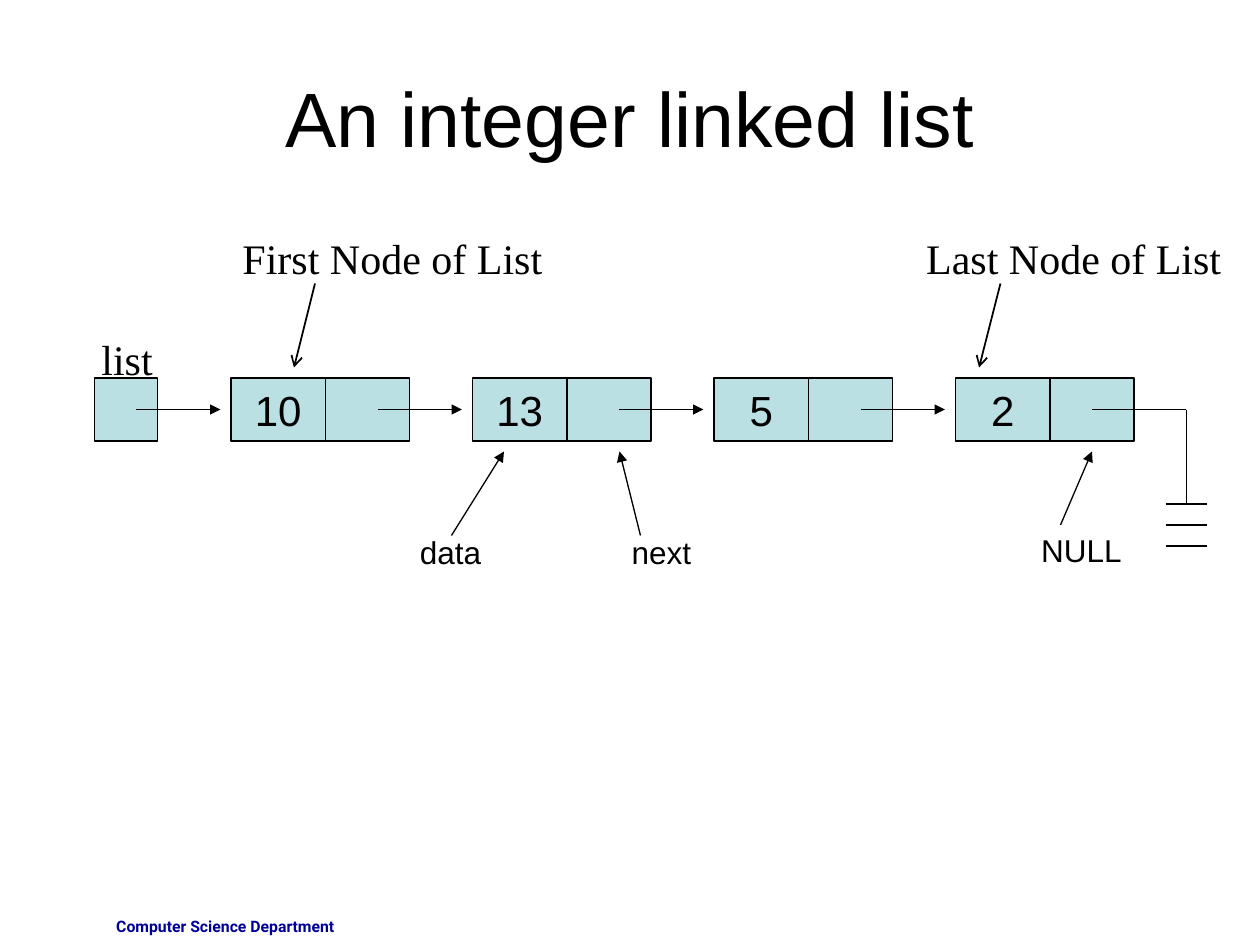
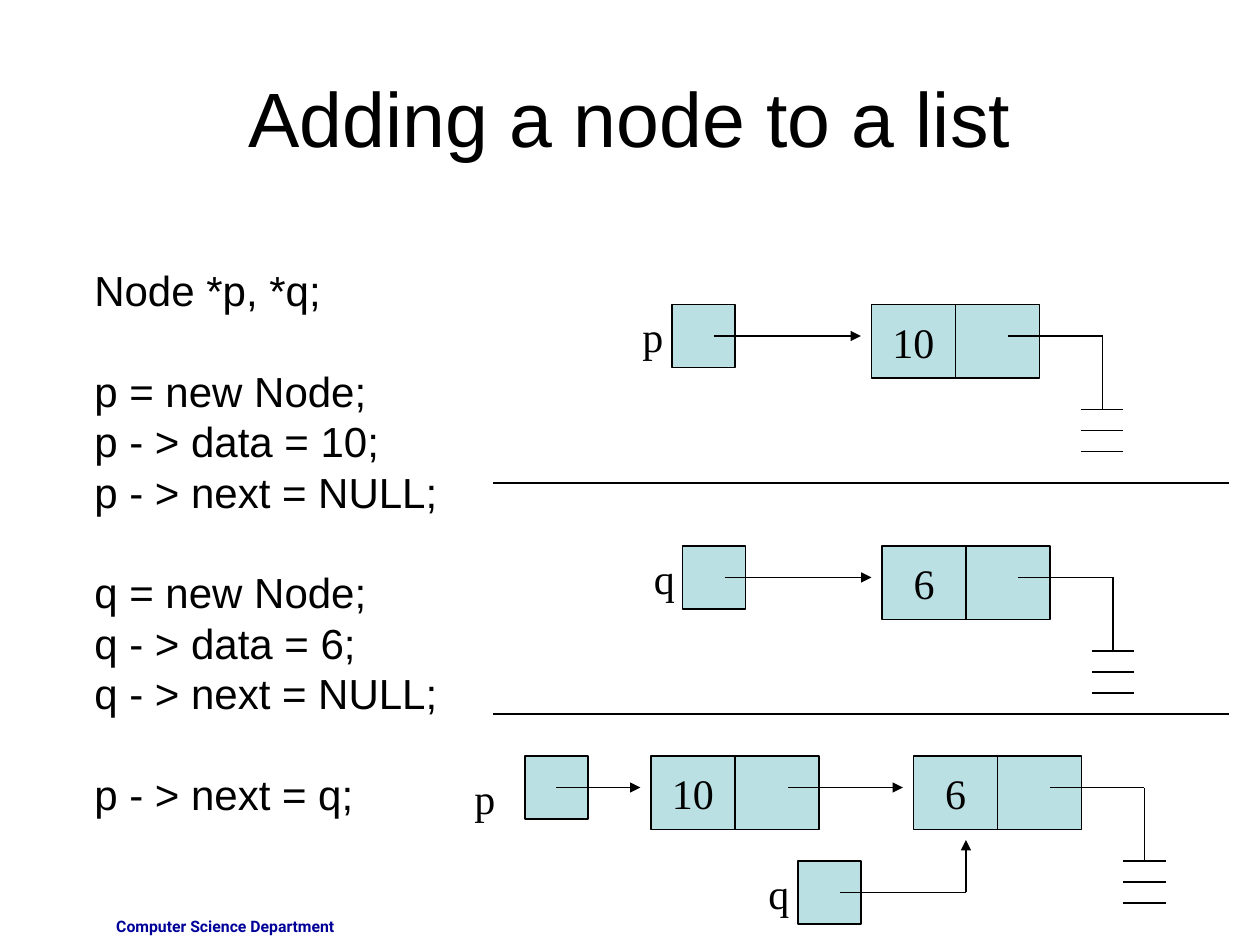
from typing import NamedTuple

from lxml import etree
from pptx import Presentation
from pptx.dml.color import RGBColor
from pptx.enum import shapes, text
from pptx.oxml.ns import qn
from pptx.util import Pt

BLACK, NAVY, CELL = "000000", "000099", "BBE0E3"
SERIF, SANS, FOOTER = "Times New Roman", "Arial", "Roboto"
LEFT, CENTER, RIGHT = text.PP_ALIGN.LEFT, text.PP_ALIGN.CENTER, text.PP_ALIGN.RIGHT
CELL_FRAME = {"word_wrap": False, "vertical_anchor": text.MSO_ANCHOR.MIDDLE}
LINK_Y = 18       # height of the link arrows below a node's top edge
ARROW_GAP = 6     # space between an arrowhead and its node
TITLE_ONLY = 5


class Label(NamedTuple):
    words: str
    x: float
    y: float
    w: float
    h: float = 36
    font: str = SERIF
    size: float = 24
    align: text.PP_ALIGN = RIGHT
    color: str = BLACK
    bold: bool = False
    wrap: bool = False


class Line(NamedTuple):
    x1: float
    y1: float
    x2: float
    y2: float
    head: str = ""
    width: float = 1


class Node(NamedTuple):
    value: str
    x: float
    y: float
    data_w: float = 48
    h: float = 42
    font: str = SERIF


class Pointer(NamedTuple):
    """A square variable; its arrow runs to target_x when that is given."""
    x: float
    y: float
    target_x: float = 0
    start: float = 24


POINTER_SIZE, LINK_W = 36, 48


def rgb(color: str) -> RGBColor:
    return RGBColor.from_string(color)


def style(target, formats: dict) -> None:
    for name, value in formats.items():
        setattr(target, name, value)


def style_font(font, name: str, size: float, color: str = BLACK, bold: bool = False) -> None:
    style(font, {"name": name, "size": Pt(size), "bold": bold})
    font.color.rgb = rgb(color)


def place(sp, x: float, y: float, w: float, h: float) -> None:
    style(sp, {"left": Pt(x), "top": Pt(y), "width": Pt(w), "height": Pt(h)})


def draw_label(slide, label: Label):
    sp = slide.shapes.add_textbox(Pt(label.x), Pt(label.y), Pt(label.w), Pt(label.h))
    tf = sp.text_frame
    tf.word_wrap = label.wrap
    p = tf.paragraphs[0]
    p.alignment = label.align
    r = p.add_run()
    r.text = label.words
    style_font(r.font, label.font, label.size, label.color, label.bold)
    return sp


def draw_line(slide, line: Line) -> None:
    c = slide.shapes.add_connector(shapes.MSO_CONNECTOR.STRAIGHT,
                                   Pt(line.x1), Pt(line.y1), Pt(line.x2), Pt(line.y2))
    c.line.width = Pt(line.width)
    c.line.color.rgb = rgb(BLACK)
    sp_pr = c.element.spPr
    if line.head:
        etree.SubElement(sp_pr.find(qn("a:ln")), qn("a:tailEnd"), type=line.head)
    etree.SubElement(sp_pr, qn("a:effectLst"))


def draw_cell(slide, x: float, y: float, w: float, h: float,
              value: str = "", font: str = SERIF) -> None:
    sp = slide.shapes.add_shape(shapes.MSO_SHAPE.RECTANGLE, Pt(x), Pt(y), Pt(w), Pt(h))
    sp.shadow.inherit = False
    sp.fill.solid()
    sp.fill.fore_color.rgb = rgb(CELL)
    sp.line.color.rgb = rgb(BLACK)
    sp.line.width = Pt(1)
    if value:
        style(sp.text_frame, CELL_FRAME)
        p = sp.text_frame.paragraphs[0]
        p.alignment = CENTER
        r = p.add_run()
        r.text = value
        style_font(r.font, font, 24)


def draw_node(slide, node: Node) -> None:
    draw_cell(slide, node.x, node.y, node.data_w, node.h, node.value, node.font)
    draw_cell(slide, node.x + node.data_w, node.y, LINK_W, node.h)


def draw_arrow(slide, x: float, y: float, target_x: float) -> None:
    draw_line(slide, Line(x, y, target_x - ARROW_GAP, y, "triangle"))


def draw_pointer(slide, pointer: Pointer) -> None:
    draw_cell(slide, pointer.x, pointer.y, POINTER_SIZE, POINTER_SIZE)
    if pointer.target_x:
        draw_arrow(slide, pointer.x + pointer.start, pointer.y + LINK_Y, pointer.target_x)


def draw_null(slide, node: Node, drop: float = 42) -> None:
    """Lead the node's link to the three bars that stand for NULL."""
    x, y = node.x + 132, node.y + LINK_Y
    draw_line(slide, Line(node.x + 78, y, x, y))
    draw_line(slide, Line(x, y, x, y + drop))
    for i in range(3):
        bar_y = y + drop + 12 * i
        draw_line(slide, Line(x - 12, bar_y, x + 12, bar_y))


def add_titled_slide(prs, title: str):
    slide = prs.slides.add_slide(prs.slide_layouts[TITLE_ONLY])
    sp = slide.shapes.title
    place(sp, 36, 21.6, 648, 90)
    tf = sp.text_frame
    tf.text = title
    tf.vertical_anchor = text.MSO_ANCHOR.MIDDLE
    p = tf.paragraphs[0]
    p.alignment = CENTER
    style_font(p.runs[0].font, SANS, 44)
    return slide


def add_layout_footer(slide) -> None:
    """Put the department line on the layout in place of its footer fields."""
    layout = slide.slide_layout
    for ph in list(layout.placeholders):
        if ph.placeholder_format.type != shapes.PP_PLACEHOLDER.TITLE:
            ph.element.getparent().remove(ph.element)
    footer = draw_label(slide, Label("Computer Science Department", 30, 520.5, 168, 19.5,
                                     FOOTER, 9, color=NAVY, bold=True, wrap=True))
    layout.shapes.element.append(footer.element)


def build_linked_list(slide) -> None:
    nodes = [Node(value, 132 + 138 * i, 216, 54, 36, SANS)
             for i, value in enumerate(("10", "13", "5", "2"))]
    draw_pointer(slide, Pointer(54, 216, nodes[0].x))
    for node in nodes:
        draw_node(slide, node)
    for node, following in zip(nodes, nodes[1:]):
        draw_arrow(slide, node.x + 84, node.y + LINK_Y, following.x)
    draw_null(slide, nodes[-1], 54)

    small = {"h": 29, "font": SANS, "size": 18, "wrap": True}
    for label in (Label("list", 50.4, 187, 44),
                  Label("First Node of List", 131, 129.6, 186),
                  Label("Last Node of List", 522, 129.6, 183),
                  Label("data", 228, 301, 54, **small),
                  Label("next", 348, 301, 54, **small),
                  Label("NULL", 576, 300, 72, **small)):
        draw_label(slide, label)
    for line in (Line(180, 162, 168, 210, "arrow"),
                 Line(571.7, 162, 559.5, 210, "arrow"),
                 Line(258, 306, 288, 258, "triangle", 0.75),
                 Line(366, 306, 354, 258, "triangle", 0.75),
                 Line(606, 300, 624, 258, "triangle", 0.75)):
        draw_line(slide, line)


def draw_code(slide) -> None:
    pitch = 28.8
    steps = (("Node *p, *q;",),
             ("p = new Node;", "p - > data = 10;", "p - > next = NULL;"),
             ("q = new Node;", "q - > data = 6;", "q - > next = NULL;"),
             ("p - > next = q;",))
    tf = slide.shapes.add_textbox(Pt(46.8), Pt(147.6), Pt(625), Pt(352.8)).text_frame
    tf.word_wrap = True
    for i, step in enumerate(steps):
        for j, code in enumerate(step):
            p = tf.add_paragraph() if i else tf.paragraphs[0]
            p.line_spacing = Pt(pitch)
            if i and not j:
                p.space_before = Pt(pitch)
            r = p.add_run()
            r.text = code
            style_font(r.font, SANS, 24)


def build_adding_node(slide) -> None:
    draw_code(slide)
    new_p, new_q = Node("10", 498, 174), Node("6", 504, 312)
    joined_p, joined_q = Node("10", 372, 432), Node("6", 522, 432)
    for node in (new_p, new_q, joined_p, joined_q):
        draw_node(slide, node)
    for node in (new_p, new_q, joined_q):
        draw_null(slide, node)
    draw_arrow(slide, joined_p.x + 78, joined_p.y + LINK_Y, joined_q.x)

    for pointer in (Pointer(384, 174, new_p.x), Pointer(390, 312, new_q.x),
                    Pointer(300, 432, joined_p.x, 18), Pointer(456, 492)):
        draw_pointer(slide, pointer)
    for name, x, y in (("p", 360, 174), ("q", 366.5, 312), ("p", 264, 438), ("q", 432, 492)):
        draw_label(slide, Label(name, x, y, 26, align=LEFT))

    draw_line(slide, Line(480, 510, 552, 510))
    draw_line(slide, Line(552, 510, 552, 480, "triangle"))
    for divider_y in (276, 408):
        draw_line(slide, Line(282, divider_y, 702, divider_y))


def main() -> None:
    prs = Presentation()
    prs.slide_width, prs.slide_height = Pt(720), Pt(540)
    slide = add_titled_slide(prs, "An integer linked list")
    add_layout_footer(slide)
    build_linked_list(slide)
    build_adding_node(add_titled_slide(prs, "Adding a node to a list"))
    prs.save("out.pptx")


if __name__ == "__main__":
    main()
